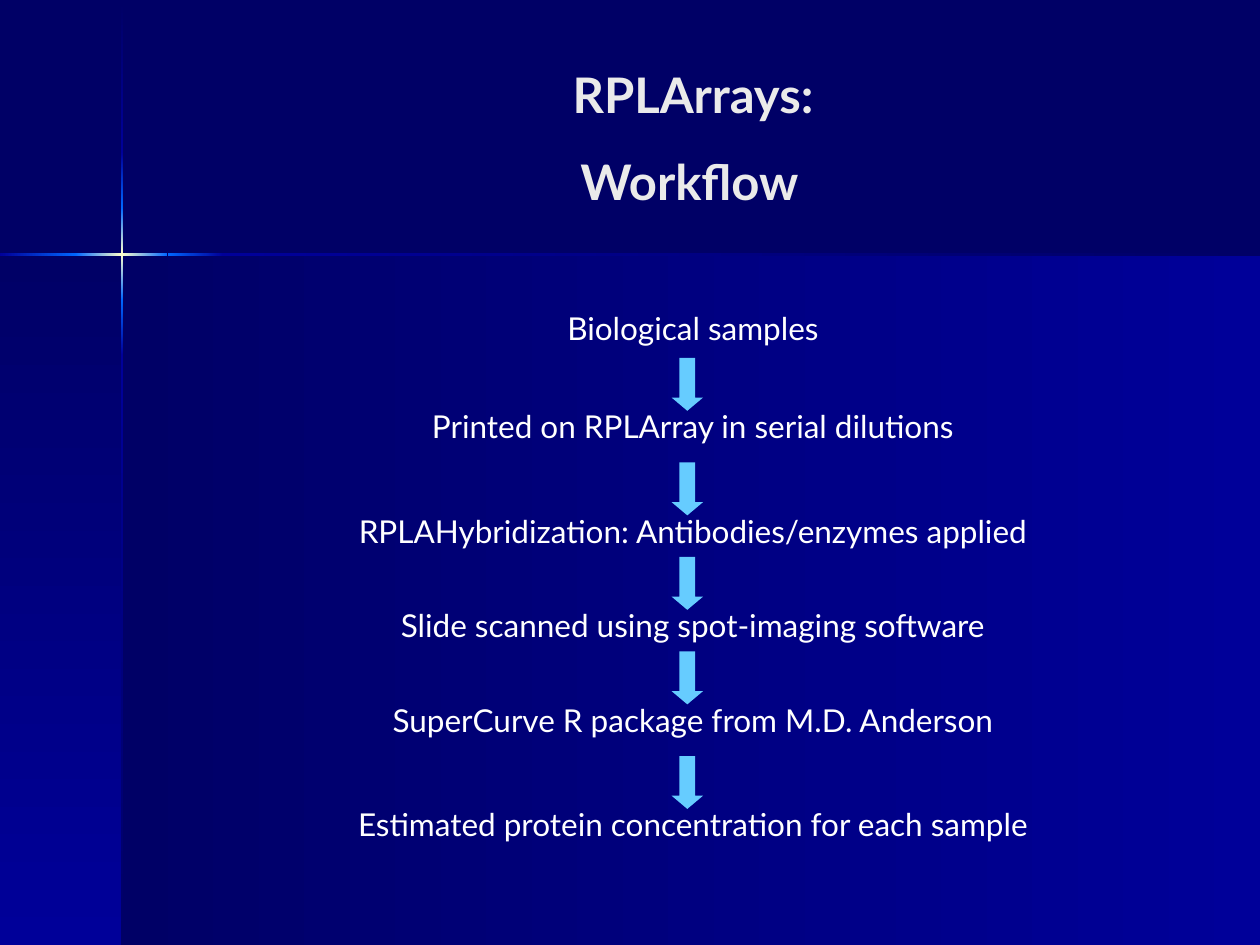
from copy import deepcopy

from pptx import Presentation
from pptx.dml.color import RGBColor
from pptx.enum.shapes import MSO_SHAPE
from pptx.enum.text import MSO_ANCHOR, MSO_AUTO_SIZE, PP_ALIGN
from pptx.oxml.ns import qn
from pptx.util import Inches, Pt

FONT = "Lato"
NAVY, BLUE, BRIGHT, GLOW = "000066", "000099", "0066FF", "FFFFCC"
DOWN, LEFTWARD = 270, 180  # counter-clockwise gradient angles
CROSS_X, CROSS_Y, BEAM = 0.97, 2.02, 0.02
BOX_LEFT, BOX_WIDTH, ROW_HEIGHT = 1, 9, 0.42

STEPS = [
    (2.42, "Biological samples"),
    (3.17, "Printed on RPLArray in serial dilutions"),
    (4, "RPLAHybridization: Antibodies/enzymes applied"),
    (4.75, "Slide scanned using spot-imaging software"),
    (5.5, "SuperCurve R package from M.D. Anderson"),
    (6.33, "Estimated protein concentration for each sample"),
]

# Beam segments: start, length, gradient colours
VERTICAL_BEAM = [
    (0.01, 1.2, (NAVY, BLUE)),
    (2.82, 4.68, (BLUE, NAVY)),
    (2.38, 0.44, (BRIGHT, BLUE)),
    (1.21, 0.44, (BLUE, BRIGHT)),
    (1.65, 0.73, (BRIGHT, GLOW, BRIGHT)),
]
HORIZONTAL_BEAM = [
    (1.77, 8.23, (NAVY, BLUE)),
    (0, 0.61, (BRIGHT, BLUE)),
    (1.33, 0.44, (BLUE, BRIGHT)),
    (0.6, 0.73, (BRIGHT, GLOW, BRIGHT)),
]


def color(value):
    return RGBColor.from_string(value)


def add_plain_shape(page, kind, left, top, width, height):
    shape = page.shapes.add_shape(
        kind, Inches(left), Inches(top), Inches(width), Inches(height))
    shape.shadow.inherit = False
    shape.line.fill.background()
    return shape


def add_gradient(page, left, top, width, height, colors, angle):
    panel = add_plain_shape(page, MSO_SHAPE.RECTANGLE, left, top, width, height)
    panel.fill.gradient()
    panel.fill.gradient_angle = angle
    stop_list = next(panel._element.iter(qn("a:gsLst")))
    while len(stop_list) < len(colors):
        stop_list.append(deepcopy(stop_list[-1]))
    for index, stop in enumerate(panel.fill.gradient_stops):
        stop.position = index / (len(colors) - 1)
        stop.color.rgb = color(colors[index])


def add_span(para, text, size, font_color, bold=False):
    span = para.add_run()
    span.text = text
    for name, value in {"name": FONT, "size": Pt(size), "bold": bold}.items():
        setattr(span.font, name, value)
    span.font.color.rgb = color(font_color)
    return span


def format_frame(frame):
    settings = {"word_wrap": True, "auto_size": MSO_AUTO_SIZE.NONE,
                "vertical_anchor": MSO_ANCHOR.MIDDLE}
    for name, value in settings.items():
        setattr(frame, name, value)
    para = frame.paragraphs[0]
    para.alignment = PP_ALIGN.CENTER
    return para


def add_backdrop(page):
    page.background.fill.solid()
    page.background.fill.fore_color.rgb = color(NAVY)
    panel_height = 7.5 - CROSS_Y
    add_gradient(page, CROSS_X, CROSS_Y, 10 - CROSS_X, panel_height,
                 (BLUE, NAVY), LEFTWARD)
    add_gradient(page, 0, CROSS_Y, CROSS_X, panel_height, (NAVY, BLUE), DOWN)
    for start, length, colors in VERTICAL_BEAM:
        add_gradient(page, CROSS_X - BEAM / 2, start, BEAM, length, colors, DOWN)
    for start, length, colors in HORIZONTAL_BEAM:
        add_gradient(page, start, CROSS_Y - BEAM / 2, length, BEAM, colors, LEFTWARD)


def fill_title(page):
    title = page.shapes.title
    place = {"left": BOX_LEFT, "top": 0.33, "width": BOX_WIDTH, "height": 1.57}
    for name, value in place.items():
        setattr(title, name, Inches(value))
    para = format_frame(title.text_frame)
    first = add_span(para, "RPLArrays:", 28, "EAEAEA", True)
    para.add_line_break()
    # The break takes the size of the line it ends
    para._p.find(qn("a:br")).append(deepcopy(first._r.find(qn("a:rPr"))))
    add_span(para, " Workflow", 28, "EAEAEA", True)
    add_span(para, " ", 44, "EAEAEA", True)
    page.shapes._spTree.append(title._element)  # in front of the backdrop


def add_step(page, top, text):
    box = page.shapes.add_textbox(Inches(BOX_LEFT), Inches(top),
                                  Inches(BOX_WIDTH), Inches(ROW_HEIGHT))
    para = format_frame(box.text_frame)
    add_span(para, text, 18, "FFFFFF")
    return para


def add_arrow(page, top):
    arrow = add_plain_shape(page, MSO_SHAPE.DOWN_ARROW, 5.33, top, 0.25, ROW_HEIGHT)
    arrow.adjustments[0] = 0.5
    arrow.adjustments[1] = 0.42
    arrow.fill.solid()
    arrow.fill.fore_color.rgb = color("66CCFF")


def main():
    deck = Presentation()
    deck.slide_width, deck.slide_height = Inches(10), Inches(7.5)
    page = deck.slides.add_slide(deck.slide_layouts[5])
    add_backdrop(page)
    fill_title(page)

    # Workflow steps, then an arrow leading into each later step
    paras = [add_step(page, top, text) for top, text in STEPS]
    paras[0].line_spacing = 0.8
    for top, _ in STEPS[1:]:
        add_arrow(page, top - 0.33)
    deck.save("out.pptx")


if __name__ == "__main__":
    main()
